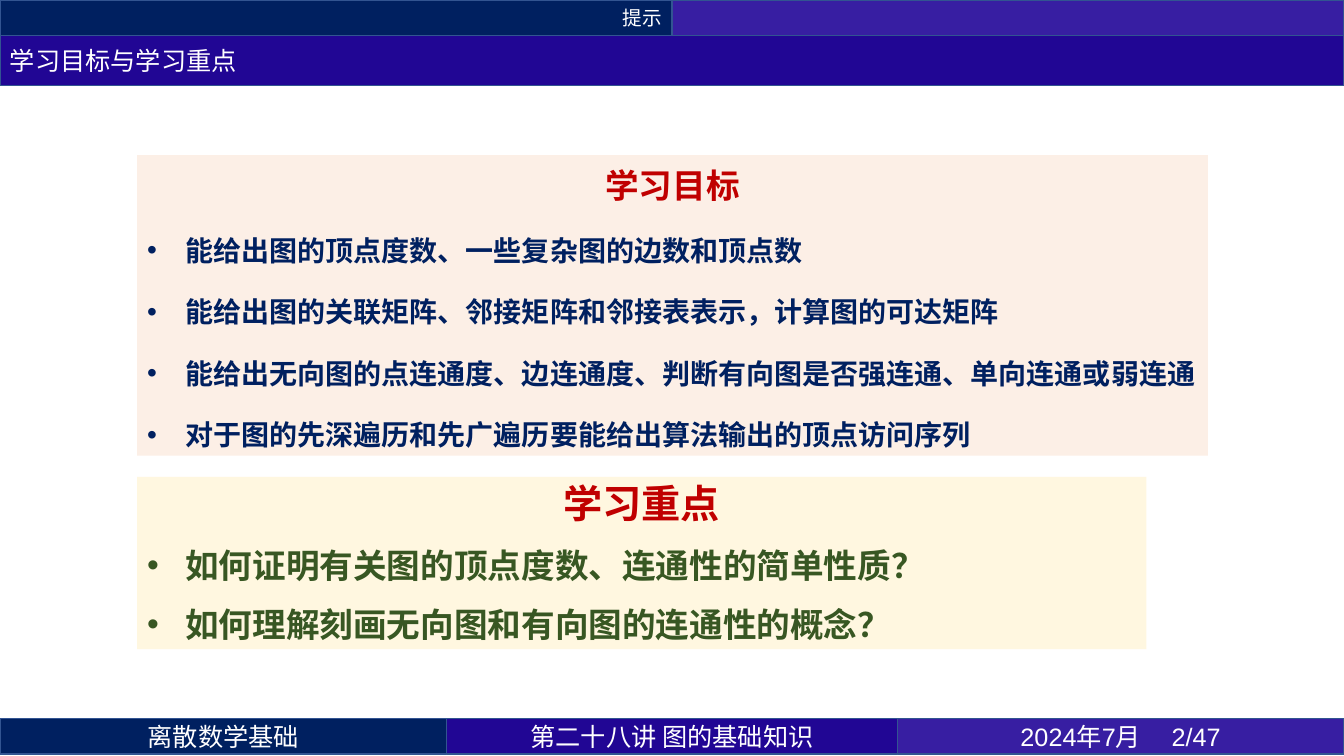
from pptx import Presentation
from pptx.dml.color import RGBColor
from pptx.enum.shapes import MSO_SHAPE
from pptx.enum.text import MSO_ANCHOR, MSO_AUTO_SIZE, PP_ALIGN
from pptx.oxml.ns import qn
from pptx.util import Inches, Pt
from lxml.etree import SubElement

CJK = "Noto Sans CJK SC"
WIDTH, HEIGHT = 13.33, 7.5
NAVY, INDIGO, VIOLET = "002060", "210694", "371EA2"
BORDER, WHITE, RED, GREEN = "325491", "FFFFFF", "C00000", "385723"
BAR = 0.35
FOOTER_TOP = 7.13

HEADER = [("提示", NAVY), ("", VIOLET)]
TITLE = "学习目标与学习重点"
FOOTER = [
    ("离散数学基础", 4.43, NAVY, CJK),
    ("第二十八讲 图的基础知识", 4.47, INDIGO, CJK),
    ("2024年7月 \t2/47", 4.43, VIOLET, "Arial"),
]
PANELS = [
    {
        "box": (1.36, 4.73, 10.01, 1.71), "fill": "FFF2CC",
        "heading": "学习重点", "heading_size": 28,
        "size": 24, "color": GREEN, "spacing": 30,
        "points": [
            "如何证明有关图的顶点度数、连通性的简单性质？",
            "如何理解刻画无向图和有向图的连通性的概念？",
        ],
    },
    {
        "box": (1.36, 1.54, 10.62, 2.98), "fill": "FBE5D6",
        "heading": "学习目标", "heading_size": 24,
        "size": 20, "color": NAVY, "spacing": 32,
        "points": [
            "能给出图的顶点度数、一些复杂图的边数和顶点数",
            "能给出图的关联矩阵、邻接矩阵和邻接表表示，计算图的可达矩阵",
            "能给出无向图的点连通度、边连通度、判断有向图是否强连通、单向连通或弱连通",
            "对于图的先深遍历和先广遍历要能给出算法输出的顶点访问序列",
        ],
    },
]


def rgb(color):
    return RGBColor.from_string(color)


def add_rect(slide, box, fill, border=None, opacity=None):
    rect = slide.shapes.add_shape(MSO_SHAPE.RECTANGLE, *map(Inches, box))
    rect.shadow.inherit = False
    rect.fill.solid()
    rect.fill.fore_color.rgb = rgb(fill)
    if opacity:
        srgb = rect.fill._xPr.find(".//" + qn("a:srgbClr"))
        SubElement(srgb, qn("a:alpha"), val=str(opacity * 1000))
    if border:
        rect.line.color.rgb = rgb(border)
        rect.line.width = Pt(1)
    else:
        rect.line.fill.background()
    rect.text_frame.word_wrap = True
    return rect


def write(paragraph, text, size=18, font=CJK, color=WHITE, bold=False,
          align=PP_ALIGN.LEFT, spacing=None, before=0, after=0, bullet=False):
    paragraph.alignment = align
    paragraph.space_before = Pt(before)
    paragraph.space_after = Pt(after)
    if spacing:
        paragraph.line_spacing = Pt(spacing)
    if bullet:
        properties = paragraph._p.get_or_add_pPr()
        properties.set("marL", str(Inches(0.38)))
        properties.set("indent", str(-Inches(0.38)))
        SubElement(properties, qn("a:buFont"), typeface="Arial")
        SubElement(properties, qn("a:buChar"), char="•")
    run = paragraph.add_run()
    run.text = text
    run.font.size = Pt(size)
    run.font.bold = bold
    run.font.color.rgb = rgb(color)
    run.font.name = font
    SubElement(run.font._element, qn("a:ea"), typeface=CJK)


def add_bar(slide, box, fill, text, **style):
    frame = add_rect(slide, box, fill, BORDER).text_frame
    frame.vertical_anchor = MSO_ANCHOR.MIDDLE
    if text:
        write(frame.paragraphs[0], text, **style)


def add_panel(slide, panel):
    frame = add_rect(slide, panel["box"], panel["fill"], opacity=60).text_frame
    frame.vertical_anchor = MSO_ANCHOR.TOP
    frame.auto_size = MSO_AUTO_SIZE.SHAPE_TO_FIT_TEXT
    write(frame.paragraphs[0], panel["heading"], size=panel["heading_size"],
          color=RED, bold=True, align=PP_ALIGN.CENTER, spacing=32, after=6)
    for point in panel["points"]:
        write(frame.add_paragraph(), point, size=panel["size"], font="Arial",
              color=panel["color"], bold=True, spacing=panel["spacing"],
              before=6, after=6, bullet=True)


def main():
    deck = Presentation()
    deck.slide_width, deck.slide_height = Inches(WIDTH), Inches(HEIGHT)
    slide = deck.slides.add_slide(deck.slide_layouts[6])

    half = WIDTH / len(HEADER)
    for column, (label, fill) in enumerate(HEADER):
        add_bar(slide, (column * half, 0, half, BAR), fill, label,
                size=14, align=PP_ALIGN.RIGHT)

    left = 0
    for label, width, fill, font in FOOTER:
        add_bar(slide, (left, FOOTER_TOP, width, BAR), fill, label,
                font=font, align=PP_ALIGN.CENTER)
        left += width

    add_bar(slide, (0, BAR, WIDTH, 0.5), INDIGO, TITLE)
    for panel in PANELS:
        add_panel(slide, panel)
    deck.save("out.pptx")


if __name__ == "__main__":
    main()
